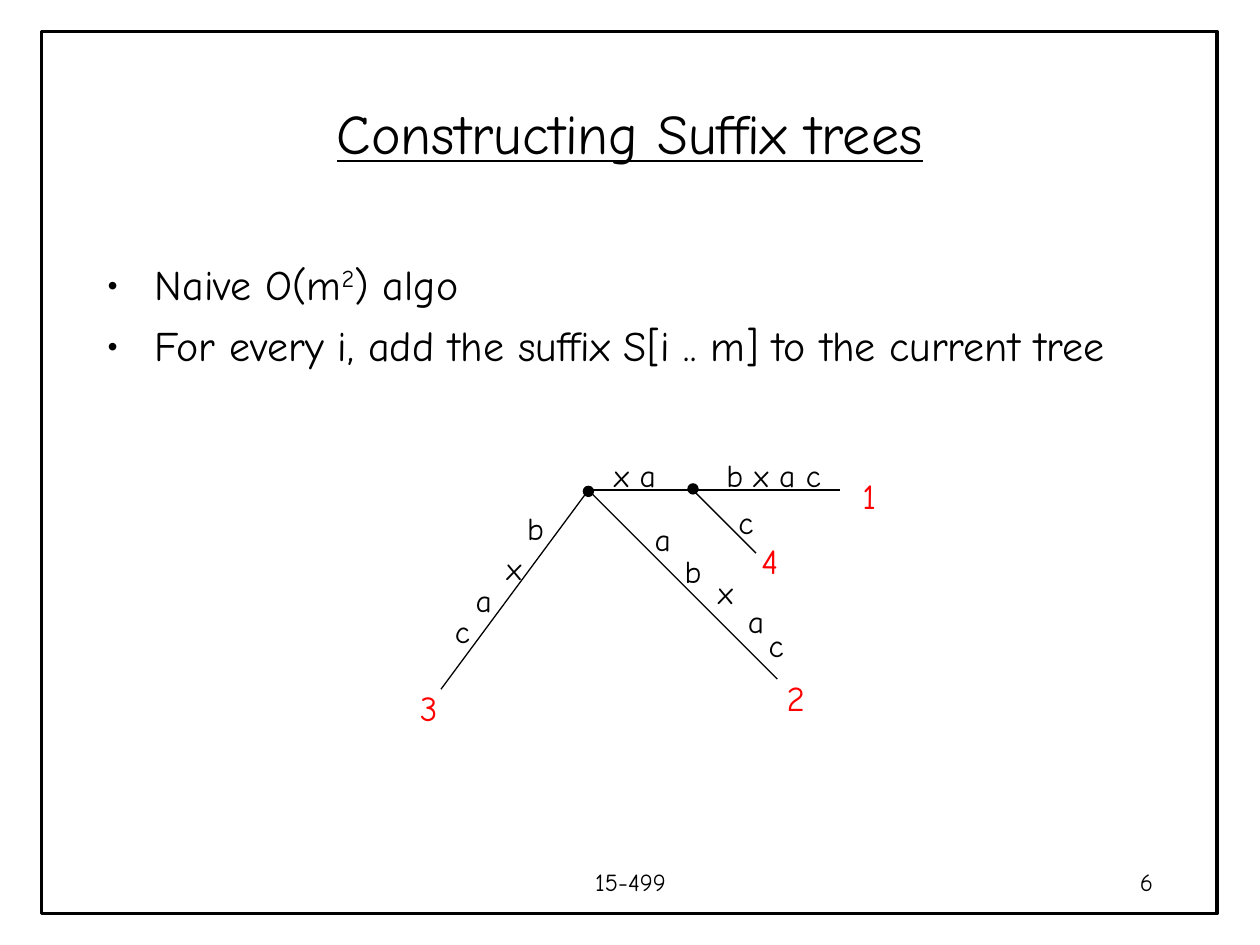
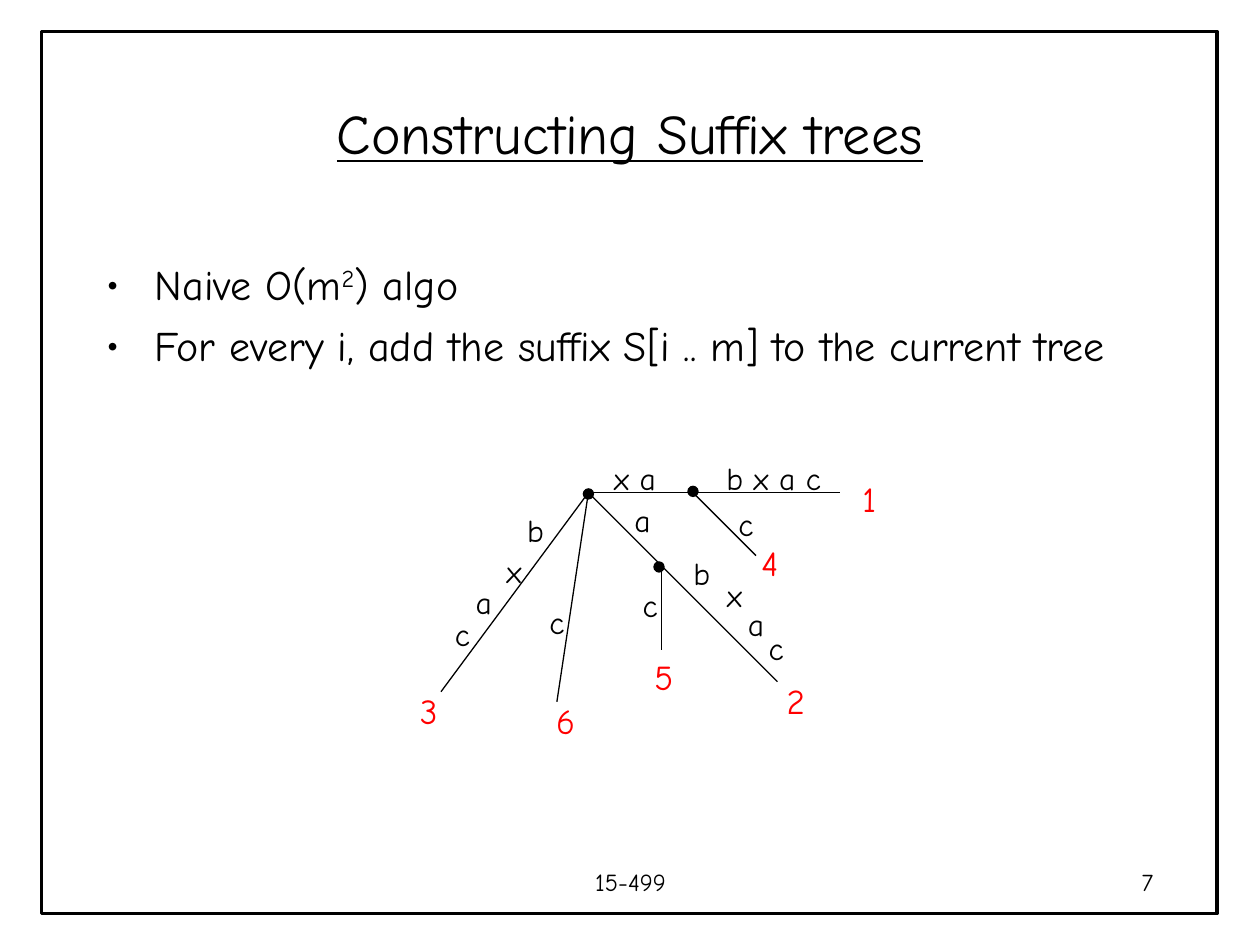
"""Build two slides that construct a suffix tree step by step."""
import pptx
import pptx.dml.color
import pptx.enum.shapes
import pptx.enum.text
import pptx.oxml
import pptx.oxml.ns
import pptx.util

Inches = pptx.util.Inches
Pt = pptx.util.Pt
Align = pptx.enum.text.PP_ALIGN
Shape = pptx.enum.shapes.MSO_SHAPE

FONT = "Comic Neue"
BLACK = pptx.dml.color.RGBColor(0, 0, 0)
RED = pptx.dml.color.RGBColor(255, 0, 0)
WIDTH, HEIGHT = 10, 7.5
MARGIN = 0.75
DOT = 0.08

TITLE = "Constructing Suffix trees"
BULLETS = [
    [("Naive O(m", False), ("2", True), (") algo", False)],
    [("For every i, add the suffix S[i .. m] to the current tree", False)],
]
COURSE = "15-499"

SHARED_TREE = {
    "nodes": [(0.83, -0.01), (0, 0.01)],
    "edges": [((0, 0), (2, 0)), ((0, 0), (1.5, 1.5)),
              ((0, 0), (-1.17, 1.58)), ((0.83, 0), (1.33, 0.5))],
    "letters": [("x a", 0.37, -0.12), ("b x a c", 1.47, -0.12), ("c", 1.25, 0.25),
                ("a", 1.33, 1.04), ("c", 1.49, 1.23),
                ("c", -1, 1.12), ("a", -0.83, 0.87), ("x", -0.59, 0.62), ("b", -0.42, 0.3)],
    "leaves": [("3", -1.27, 1.73), ("2", 1.64, 1.65), ("4", 1.44, 0.56), ("1", 2.23, 0.05)],
}
STEPS = [
    {"number": 6, "root": (4.67, 3.89),
     "letters": [("a", 0.59, 0.39), ("b", 0.83, 0.64), ("x", 1.09, 0.81)]},
    {"number": 7, "root": (4.67, 3.91),
     "nodes": [(0.56, 0.59)],
     "edges": [((0.58, 0.58), (0.58, 1.25)), ((0, 0), (-0.25, 1.66))],
     "letters": [("a", 0.43, 0.22), ("b", 0.9, 0.64), ("x", 1.16, 0.81),
                 ("c", 0.49, 0.89), ("c", -0.25, 1.03)],
     "leaves": [("6", -0.19, 1.81), ("5", 0.59, 1.46)]},
]


def make_element(tag, attributes=""):
    return pptx.oxml.parse_xml(f'<a:{tag} {pptx.oxml.ns.nsdecls("a")} {attributes}/>')


def style_run(run, size, color=BLACK):
    run.font.name = FONT
    run.font.size = Pt(size)
    run.font.color.rgb = color


def add_text(slide, text, box, size, align=Align.CENTER, color=BLACK, wrap=True):
    shape = slide.shapes.add_textbox(*map(Inches, box))
    frame = shape.text_frame
    frame.word_wrap = wrap
    frame.text = text
    paragraph = frame.paragraphs[0]
    paragraph.alignment = align
    for run in paragraph.runs:
        style_run(run, size, color)
    return shape


def add_outline(slide, kind, box, line_width, filled):
    shape = slide.shapes.add_shape(kind, *map(Inches, box))
    shape.shadow.inherit = False
    if filled:
        shape.fill.solid()
        shape.fill.fore_color.rgb = BLACK
    else:
        shape.fill.background()
    shape.line.color.rgb = BLACK
    shape.line.width = Pt(line_width)


def add_bullets(slide):
    frame = add_text(slide, "", (MARGIN, 2, WIDTH - 2 * MARGIN, 1.5), 24).text_frame
    for index, pieces in enumerate(BULLETS):
        paragraph = frame.add_paragraph() if index else frame.paragraphs[0]
        paragraph.alignment = Align.LEFT
        paragraph.space_before = Pt(6)
        properties = paragraph._p.get_or_add_pPr()
        properties.set("marL", str(Inches(0.38)))
        properties.set("indent", str(-Inches(0.38)))
        properties.append(make_element("buFont", f'typeface="{FONT}"'))
        properties.append(make_element("buChar", 'char="•"'))
        for text, raised in pieces:
            run = paragraph.add_run()
            run.text = text
            style_run(run, 24)
            if raised:
                run._r.get_or_add_rPr().set("baseline", "30000")


def add_edge(slide, start, end):
    connector = slide.shapes.add_connector(
        pptx.enum.shapes.MSO_CONNECTOR.STRAIGHT, *map(Inches, start + end))
    connector.line.color.rgb = BLACK
    connector.line.width = Pt(0.75)
    connector._element.spPr.append(make_element("effectLst"))


def add_label(slide, text, center, height, size, color):
    width = 0.33 + 0.12 * (len(text) - 1)
    box = (center[0] - width / 2, center[1] - height / 2, width, height)
    shape = add_text(slide, text, box, size, color=color, wrap=False)
    shape.text_frame.auto_size = pptx.enum.text.MSO_AUTO_SIZE.SHAPE_TO_FIT_TEXT


def add_tree(slide, step):
    def place(point):
        return step["root"][0] + point[0], step["root"][1] + point[1]

    tree = {part: items + step.get(part, []) for part, items in SHARED_TREE.items()}
    for node in tree["nodes"]:
        x, y = place(node)
        add_outline(slide, Shape.OVAL, (x - DOT / 2, y - DOT / 2, DOT, DOT), 0.75, True)
    for start, end in tree["edges"]:
        add_edge(slide, place(start), place(end))
    for part, height, size, color in (("letters", 0.4, 18, BLACK), ("leaves", 0.44, 20, RED)):
        for text, *point in tree[part]:
            add_label(slide, text, place(point), height, size, color)


def add_frame_and_title(slide, number):
    add_outline(slide, Shape.RECTANGLE, (0.33, 0.25, WIDTH - 0.67, HEIGHT - 0.5), 2, False)
    title = add_text(slide, TITLE, (MARGIN, 0.67, WIDTH - 2 * MARGIN, 0.75), 32)
    title.text_frame.vertical_anchor = pptx.enum.text.MSO_ANCHOR.MIDDLE
    title.text_frame.paragraphs[0].runs[0].font.underline = True
    add_text(slide, COURSE, (3.42, 6.83, 3.17, 0.5), 14)
    add_text(slide, str(number), (7.17, 6.83, 2.08, 0.5), 14, Align.RIGHT)


def main():
    presentation = pptx.Presentation()
    presentation.slide_width = Inches(WIDTH)
    presentation.slide_height = Inches(HEIGHT)
    for step in STEPS:
        slide = presentation.slides.add_slide(presentation.slide_layouts[6])
        add_frame_and_title(slide, step["number"])
        add_bullets(slide)
        add_tree(slide, step)
    presentation.save("out.pptx")


if __name__ == "__main__":
    main()
